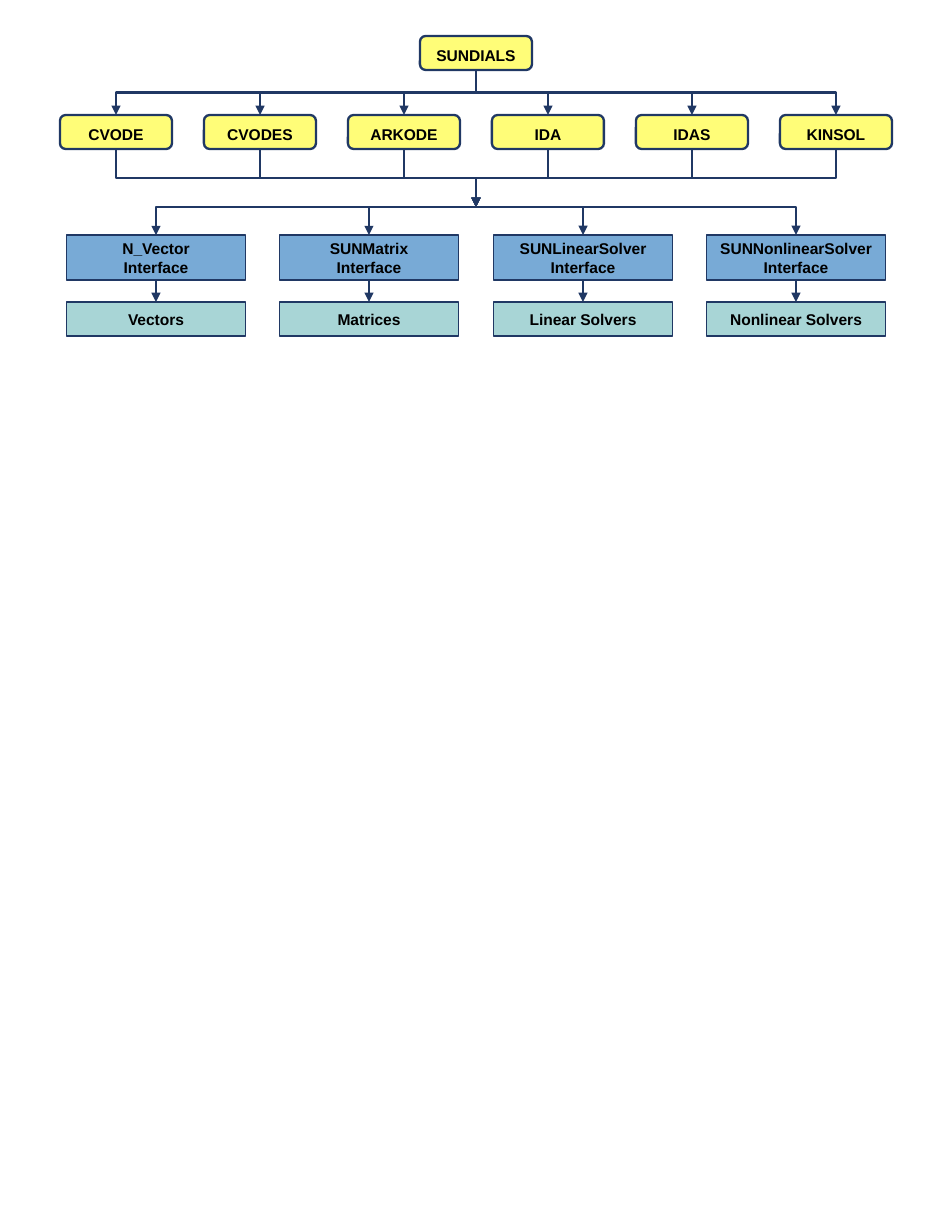
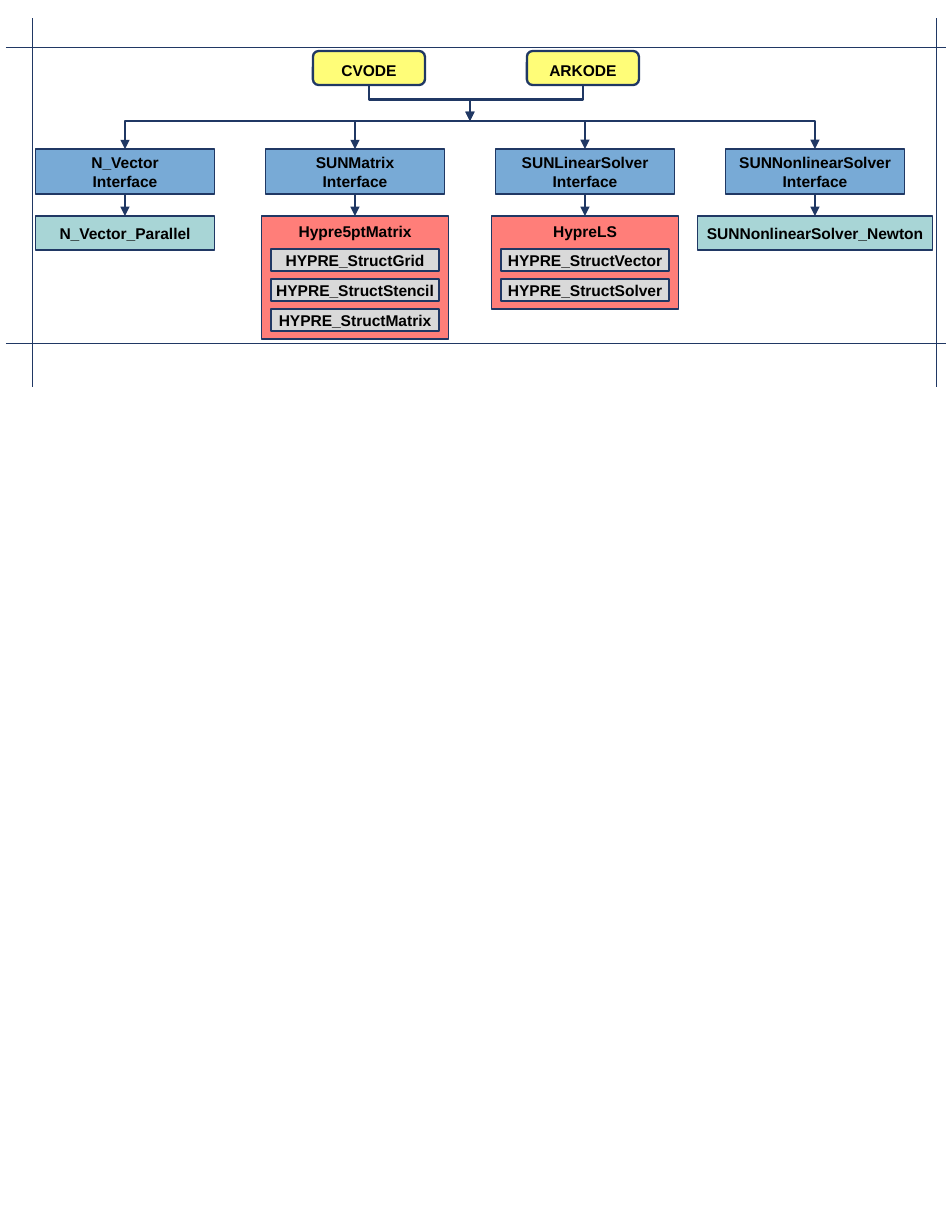
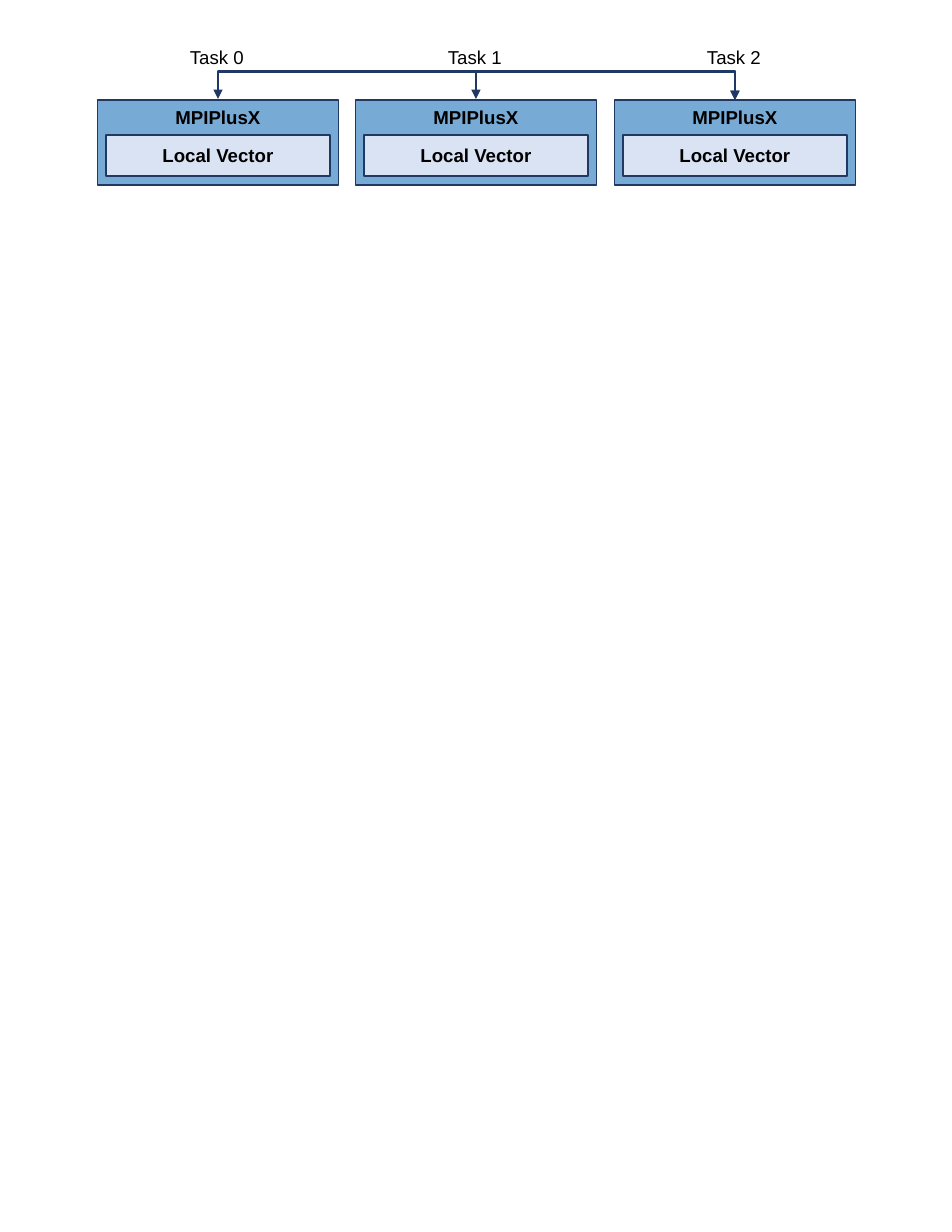
"""Build three block diagrams of the SUNDIALS solver and vector structure."""
from lxml import etree
from pptx import Presentation
from pptx import util as u
from pptx.dml.color import RGBColor
from pptx.enum import shapes, text
from pptx.oxml.ns import qn

PIXEL = u.Inches(1) // 112
NAVY = RGBColor(0x20, 0x38, 0x64)
BLACK = RGBColor(0, 0, 0)
BLUE = RGBColor(0x78, 0xAA, 0xD6)
YELLOW = RGBColor(0xFF, 0xFD, 0x78)
TEAL = RGBColor(0xA8, 0xD5, 0xD6)
CORAL = RGBColor(0xFF, 0x7E, 0x79)
GREY = RGBColor(0xD9, 0xD9, 0xD9)
PALE = RGBColor(0xDA, 0xE3, 0xF3)

RECT = shapes.MSO_SHAPE.RECTANGLE
ROUNDED = shapes.MSO_SHAPE.ROUNDED_RECTANGLE
MIDDLE = {"vertical_anchor": text.MSO_ANCHOR.MIDDLE}
TOP = {"vertical_anchor": text.MSO_ANCHOR.TOP}
TIGHT = {**MIDDLE, "margin_left": 0, "margin_right": 0}
STYLES = {
    "package": {"shape": ROUNDED, "fill": YELLOW, "width": 1.5, "spacing": 1.2},
    "interface": {"fill": BLUE},
    "module": {"fill": TEAL},
    "wide module": {"fill": TEAL, "frame": TIGHT},
    "custom": {"fill": CORAL, "frame": TOP},
    "part": {"fill": GREY, "frame": TIGHT},
    "vector": {"fill": BLUE, "frame": TOP, "size": 12},
    "local": {"fill": PALE, "size": 12},
}


def block(target, style, words, centre, top, width, height):
    """Add a bordered box with centred bold text."""
    look = {"shape": RECT, "width": 1, "spacing": None, "frame": MIDDLE, "size": 10, **STYLES[style]}
    box = target.add_shape(look["shape"], centre * PIXEL - width * PIXEL // 2, top * PIXEL,
                           width * PIXEL, height * PIXEL)
    box.shadow.inherit = False
    box.fill.solid()
    box.fill.fore_color.rgb = look["fill"]
    box.line.color.rgb = NAVY
    box.line.width = u.Pt(look["width"])
    frame = box.text_frame
    frame.text = words
    for name, value in look["frame"].items():
        setattr(frame, name, value)
    for para in frame.paragraphs:
        para.alignment = text.PP_ALIGN.CENTER
        para.line_spacing = look["spacing"]
        for name, value in {"name": "Arial", "size": u.Pt(look["size"]), "bold": True}.items():
            setattr(para.font, name, value)
        para.font.color.rgb = BLACK


def link(page, start, end, kind="line", bend=0.5, arrows=("tailEnd",), width=1.5):
    """Add a straight line, a corner (across, down) or a step (down, across, down)."""
    x1, y1, x2, y2 = (value * PIXEL for value in (*start, *end))
    turn = {}
    if kind == "step":
        centre_x, centre_y = (x1 + x2) // 2, (y1 + y2) // 2
        half_w, half_h = abs(y2 - y1) // 2, abs(x2 - x1) // 2
        if y2 < y1:
            turn = {"rot": "16200000", "flipV": "1"}
        elif x2 > x1:
            turn = {"rot": "16200000", "flipH": "1"}
        else:
            turn = {"rot": "5400000"}
        x1, x2 = centre_x - half_w, centre_x + half_w
        y1, y2 = centre_y - half_h, centre_y + half_h
    elif kind == "corner" and x2 < x1:
        x1, x2 = x2, x1
        turn = {"rot": "10800000", "flipV": "1"}
    connector_type = shapes.MSO_CONNECTOR.STRAIGHT if kind == "line" else shapes.MSO_CONNECTOR.ELBOW
    line = page.shapes.add_connector(connector_type, x1, y1, x2, y2)
    line.line.color.rgb = NAVY
    line.line.width = u.Pt(width)
    properties = line._element.spPr
    for name, value in turn.items():
        properties.find(qn("a:xfrm")).set(name, value)
    geometry = properties.find(qn("a:prstGeom"))
    if kind == "corner":
        geometry.set("prst", "bentConnector2")
    elif kind == "step":
        etree.SubElement(geometry.find(qn("a:avLst")), qn("a:gd"),
                         name="adj1", fmla=f"val {round(bend * 100000)}")
    for arrow in arrows:
        etree.SubElement(properties.find(qn("a:ln")), qn(f"a:{arrow}"), type="triangle")
    etree.SubElement(properties, qn("a:effectLst"))


deck = Presentation()
deck.slide_width, deck.slide_height = u.Inches(8.5), u.Inches(11)
overview, example, tasks = [deck.slides.add_slide(deck.slide_layouts[6]) for _ in range(3)]

INTERFACES = ["N_Vector", "SUNMatrix", "SUNLinearSolver", "SUNNonlinearSolver"]
overview_centres = [156 + 427 * i // 2 for i in range(4)]
example_centres = [125 + 230 * i for i in range(4)]
overview_hub, example_hub = (476, 207), (470, 121)
for page, hub, centres in [(overview, overview_hub, overview_centres),
                           (example, example_hub, example_centres)]:
    top = hub[1] + 28
    for name, centre in zip(INTERFACES, centres):
        block(page.shapes, "interface", f"{name}\nInterface", centre, top, 179, 45)
        link(page, hub, (centre, top), "corner")
        link(page, (centre, top + 45), (centre, top + 67))

block(overview.shapes, "package", "SUNDIALS", 476, 36, 112, 34)
for i, name in enumerate(["CVODE", "CVODES", "ARKODE", "IDA", "IDAS", "KINSOL"]):
    centre = 116 + 144 * i
    block(overview.shapes, "package", name, centre, 115, 112, 34)
    link(overview, (476, 70), (centre, 115), "step")
    link(overview, (centre, 149), overview_hub, "step")
for name, centre in zip(["Vectors", "Matrices", "Linear Solvers", "Nonlinear Solvers"], overview_centres):
    block(overview.shapes, "module", name, centre, 302, 179, 34)

for name, centre in [("CVODE", 369), ("ARKODE", 583)]:
    block(example.shapes, "package", name, centre, 51, 112, 34)
    link(example, (centre, 85), example_hub, "step", bend=0.4)
MODULES = [
    ("module", "N_Vector_Parallel", 179, 34, []),
    ("custom", "Hypre5ptMatrix", 187, 123, ["StructGrid", "StructStencil", "StructMatrix"]),
    ("custom", "HypreLS", 187, 93, ["StructVector", "StructSolver"]),
    ("wide module", "SUNNonlinearSolver_Newton", 235, 34, []),
]
for (style, name, width, height, parts), centre in zip(MODULES, example_centres):
    block(example.shapes, style, name, centre, 216, width, height)
    for i, part in enumerate(parts):
        block(example.shapes, "part", f"HYPRE_{part}", centre, 249 + 30 * i, 168, 22)
for x in (32, 936):
    link(example, (x, 387), (x, 18), arrows=(), width=0.5)
for y in (343, 47):
    link(example, (6, y), (946, y), arrows=(), width=0.5)

task_centres = [218 + 517 * i // 2 for i in range(3)]
for i, centre in enumerate(task_centres):
    group = tasks.shapes.add_group_shape()
    block(group.shapes, "vector", "MPIPlusX", centre, 100, 241, 85)
    block(group.shapes, "local", "Local Vector", centre, 135, 224, 41)
    label = tasks.shapes.add_textbox((centre - 39) * PIXEL, 40 * PIXEL, 77 * PIXEL, 34 * PIXEL)
    label.text_frame.word_wrap = False
    span = label.text_frame.paragraphs[0].add_run()
    span.text = f"Task {i}"
    for name, value in {"name": "Arial", "size": u.Pt(12)}.items():
        setattr(span.font, name, value)
    span.font.color.rgb = BLACK
for centre in task_centres[:2]:
    link(tasks, (task_centres[2], 100), (centre, 99), "step", bend=28, arrows=("headEnd", "tailEnd"))

deck.save("out.pptx")
